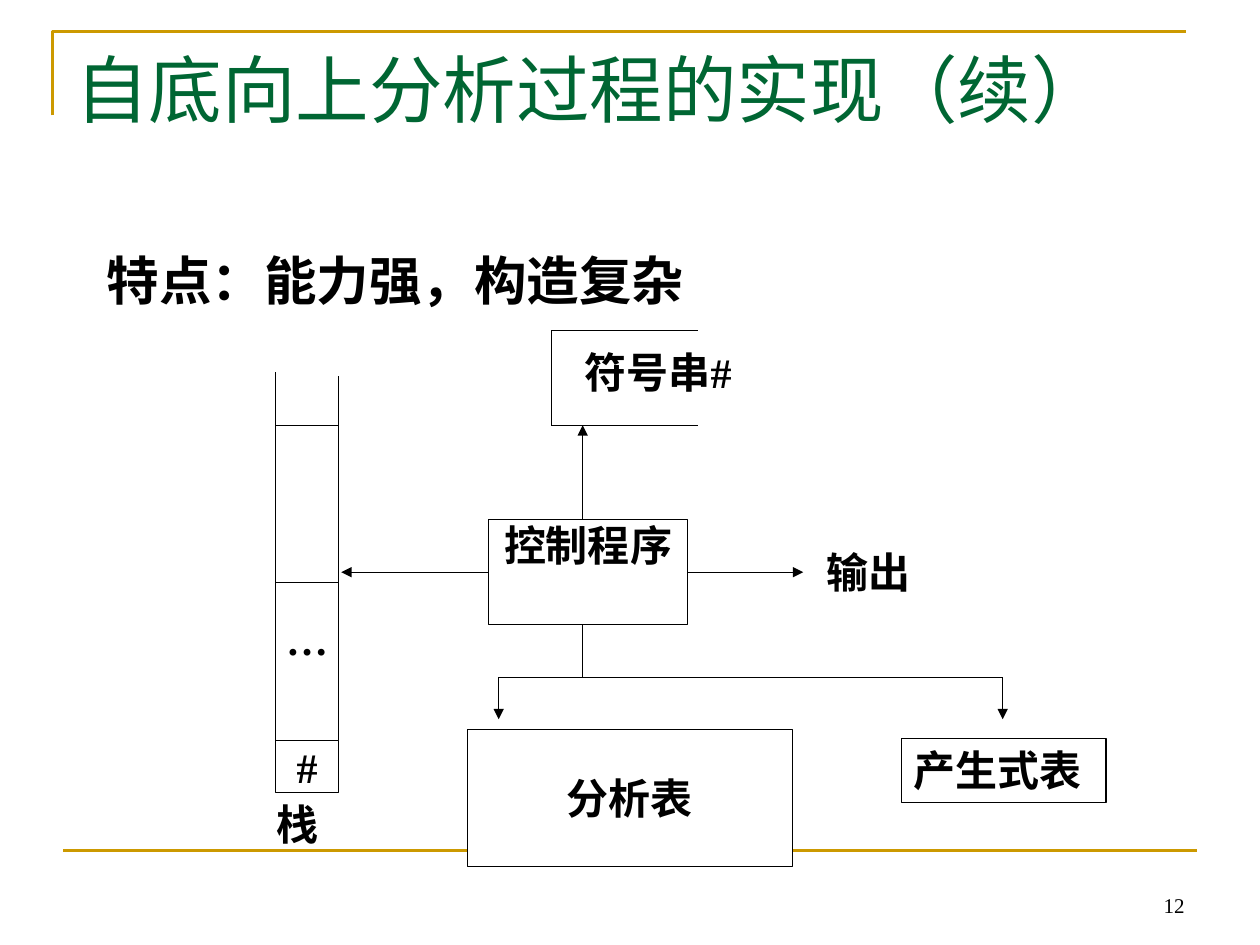
from dataclasses import dataclass

import pptx
import pptx.dml.color
import pptx.enum.shapes
import pptx.enum.text
import pptx.oxml
import pptx.oxml.ns
import pptx.util

Pt = pptx.util.Pt
Align = pptx.enum.text.PP_ALIGN
Anchor = pptx.enum.text.MSO_ANCHOR


@dataclass(frozen=True)
class Theme:
    """Colours, fonts and sizes of the slide."""

    black: str = "000000"
    white: str = "FFFFFF"
    gold: str = "CC9900"
    green: str = "006633"
    serif: str = "Times New Roman"
    sans: str = "Arial"
    title_size: float = 42
    body_size: float = 30
    label_size: float = 24
    number_size: float = 12
    thin: float = 0.75
    thick: float = 1.5


THEME = Theme()


def rgb(value):
    """Return a colour object for a hex string."""
    return pptx.dml.color.RGBColor.from_string(value)


def style_line(line, color, width):
    """Give a line its colour and width."""
    line.color.rgb = rgb(color)
    line.width = Pt(width)


def write_text(shape, text, size=THEME.label_size, color=THEME.black, font=THEME.serif,
               bold=True, align=Align.LEFT, anchor=Anchor.TOP, wrap=True, inset=(7.2, 3.6)):
    """Write one run of text into a shape."""
    frame = shape.text_frame
    frame.word_wrap = wrap
    frame.vertical_anchor = anchor
    frame.margin_left, frame.margin_top = Pt(inset[0]), Pt(inset[1])
    paragraph = frame.paragraphs[0]
    paragraph.alignment = align
    run = paragraph.add_run()
    run.text = text
    run.font.size = Pt(size)
    run.font.name = font
    run.font.bold = bold
    run.font.color.rgb = rgb(color)


def add_label(slide, text, left, top, width, height, **style):
    """Add a text box without outline."""
    shape = slide.shapes.add_textbox(Pt(left), Pt(top), Pt(width), Pt(height))
    write_text(shape, text, **style)


def add_box(slide, text, left, top, width, height, **style):
    """Add a white outlined rectangle, with text if there is any."""
    shape = slide.shapes.add_shape(pptx.enum.shapes.MSO_SHAPE.RECTANGLE,
                                   Pt(left), Pt(top), Pt(width), Pt(height))
    shape.shadow.inherit = False
    shape.fill.solid()
    shape.fill.fore_color.rgb = rgb(THEME.white)
    style_line(shape.line, THEME.black, THEME.thin)
    if text:
        write_text(shape, text, **style)


def add_line(slide, start, end, arrow=False, color=THEME.black, width=THEME.thin):
    """Add a straight line, with an arrowhead at its end on request."""
    connector = slide.shapes.add_connector(pptx.enum.shapes.MSO_CONNECTOR.STRAIGHT,
                                           *map(Pt, (*start, *end)))
    style_line(connector.line, color, width)
    properties = connector._element.spPr
    if arrow:
        head = pptx.oxml.ns.qn("a:tailEnd")
        connector.line._get_or_add_ln().append(
            properties.makeelement(head, {"type": "triangle"}))
    properties.append(properties.makeelement(pptx.oxml.ns.qn("a:effectLst"), {}))


def add_frame(slide):
    """Add the gold corner and the gold rule at the foot."""
    builder = slide.shapes.build_freeform(Pt(30), Pt(66))
    builder.add_line_segments([(Pt(30), Pt(18)), (Pt(678), Pt(18))], close=False)
    corner = builder.convert_to_shape()
    corner.shadow.inherit = False
    corner.fill.background()
    style_line(corner.line, THEME.gold, THEME.thick)
    add_line(slide, (36, 486), (684, 486), color=THEME.gold, width=THEME.thick)


def add_stack(slide):
    """Add the stack, open at its top."""
    left, width, top = 157.5, 36, 243
    centred = dict(align=Align.CENTER, wrap=False)
    add_box(slide, "", left, top, width, 90)
    add_box(slide, "…", left, top + 90, width, 90, inset=(7.2, 17.5), **centred)
    add_box(slide, "#", left, top + 180, width, 30, anchor=Anchor.MIDDLE, **centred)
    add_line(slide, (left, top), (left, 212.5))
    add_line(slide, (left + width, top + 2.5), (left + width, 215))
    add_label(slide, "栈", 139.5, 453, 69, 36, inset=(18.5, 3.6))


def add_input(slide):
    """Add the input string, open at its right."""
    left, right, top, bottom = 315, 399, 189, 243
    for y in (top, bottom):
        add_line(slide, (left, y), (right, y))
    add_line(slide, (left, top), (left, bottom))
    add_label(slide, "符号串#", 327, 194.5, 105, 36)


def add_control(slide):
    """Add the control program, its arrows and its tables."""
    left, right, top, bottom = 279, 393, 297, 357
    middle, stem, branch = (top + bottom) / 2, 333, 387
    add_box(slide, "控制程序", left, top, right - left, bottom - top,
            align=Align.CENTER, wrap=False, inset=(7.2, 0))
    add_line(slide, (right, middle), (459, middle), arrow=True)
    add_line(slide, (left, middle), (195, middle), arrow=True)
    add_line(slide, (stem, top), (stem, 243), arrow=True)
    add_line(slide, (stem, bottom), (stem, branch))
    add_line(slide, (285, branch), (573, branch))
    for x in (285, 573):
        add_line(slide, (x, branch), (x, 411), arrow=True)
    add_label(slide, "输出", 465, 309, 84, 36)
    add_box(slide, "分析表", 267, 417, 186, 78, align=Align.CENTER,
            anchor=Anchor.MIDDLE, wrap=False)
    add_box(slide, "产生式表", 515, 422, 117, 36.5)


def main():
    """Build the slide and save it."""
    presentation = pptx.Presentation()
    presentation.slide_width, presentation.slide_height = Pt(720), Pt(540)
    slide = presentation.slides.add_slide(presentation.slide_layouts[6])
    add_frame(slide)
    add_label(slide, "自底向上分析过程的实现（续）", 36, 21.6, 648, 90,
              size=THEME.title_size, color=THEME.green, bold=False)
    add_label(slide, "特点：能力强，构造复杂", 54, 138, 612, 342,
              size=THEME.body_size, font=THEME.sans)
    add_label(slide, "12", 516, 492, 168, 36, size=THEME.number_size, bold=False,
              align=Align.RIGHT, anchor=Anchor.BOTTOM)
    add_stack(slide)
    add_input(slide)
    add_control(slide)
    presentation.save("out.pptx")


if __name__ == "__main__":
    main()
